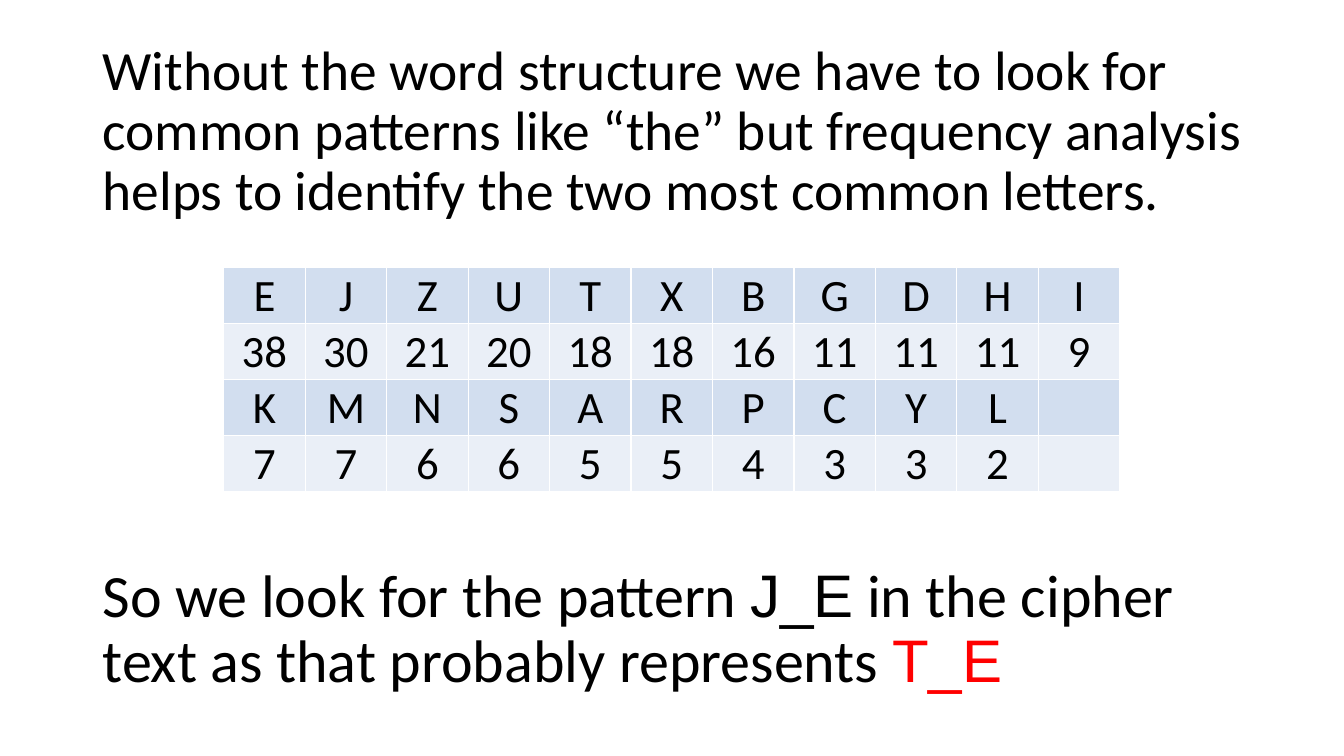
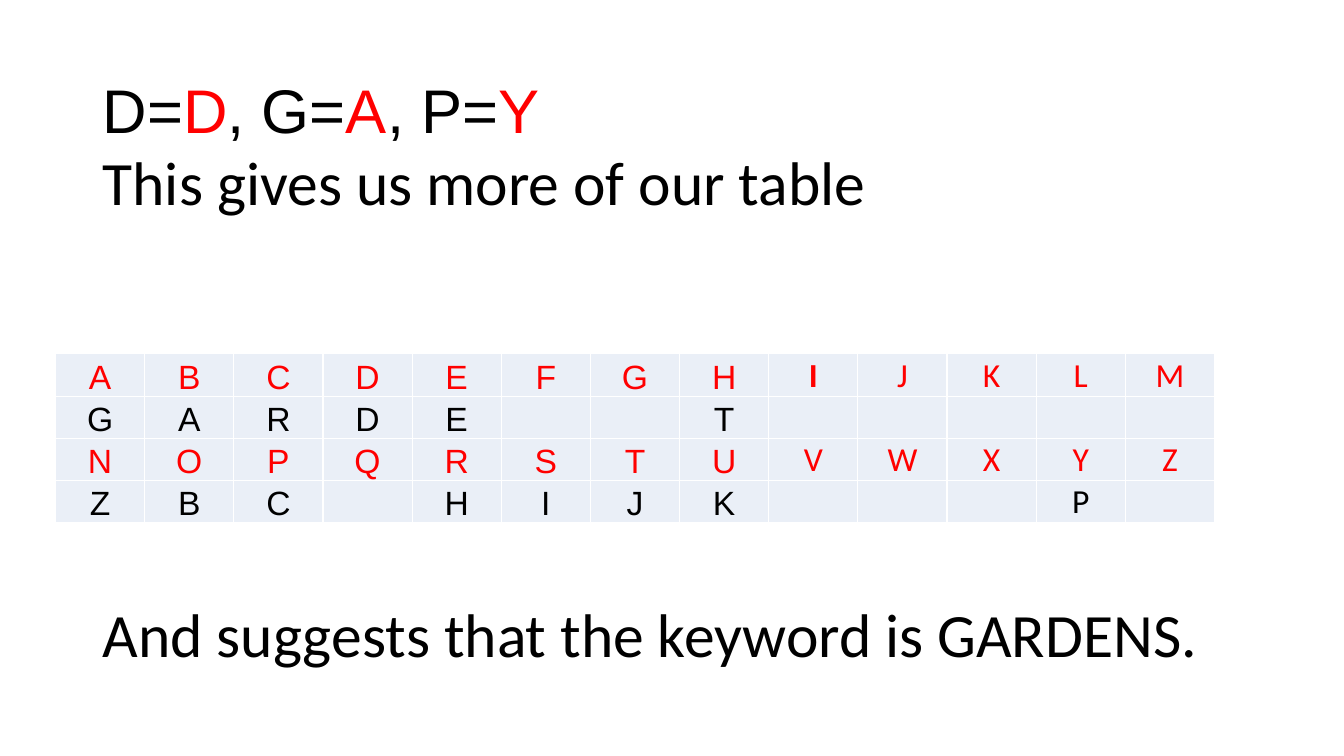
from itertools import cycle

from lxml.etree import SubElement
from pptx import Presentation
from pptx.dml.color import RGBColor
from pptx.enum.text import MSO_ANCHOR, PP_ALIGN
from pptx.oxml import parse_xml
from pptx.oxml.ns import nsdecls, qn
from pptx.util import Inches, Pt

COLORS = {
    "cipher": "000000",
    "plain": "FF0000",
    "band_dark": "D2DEEF",
    "band_light": "EAEFF7",
    "border": "FFFFFF",
}
BODY, LETTERS = "Calibri", "Arial"
TEXT_LEFT, TEXT_WIDTH = 6.9, 86.25


class Deck:
    def __init__(self):
        self.presentation = Presentation()
        self.presentation.slide_width = Inches(13.33)
        self.presentation.slide_height = Inches(7.5)
        self.slide = None

    def add_slide(self):
        self.slide = self.presentation.slides.add_slide(self.presentation.slide_layouts[6])

    def across(self, percent):
        return int(self.presentation.slide_width * percent / 100)

    def down(self, percent):
        return int(self.presentation.slide_height * percent / 100)

    def style(self, run, size, font=BODY, color="cipher", bold=False):
        run.font.size = Pt(size)
        run.font.name = font
        run.font.bold = bold
        run.font.color.rgb = RGBColor.from_string(COLORS[color])

    def text(self, top, height, size, *pieces):
        shape = self.slide.shapes.add_textbox(
            self.across(TEXT_LEFT), self.down(top), self.across(TEXT_WIDTH), self.down(height)
        )
        text_frame = shape.text_frame
        text_frame.word_wrap = True
        text_frame.vertical_anchor = MSO_ANCHOR.MIDDLE
        paragraph = text_frame.paragraphs[0]
        paragraph.line_spacing = 0.9
        for content, *look in pieces:
            run = paragraph.add_run()
            run.text = content
            self.style(run, size, *look)

    def border(self, cell):
        properties = cell._tc.get_or_add_tcPr()
        for index, side in enumerate(("lnL", "lnR", "lnT", "lnB")):
            line = parse_xml(f'<a:{side} {nsdecls("a")} w="{Pt(1)}"/>')
            fill = SubElement(line, qn("a:solidFill"))
            SubElement(fill, qn("a:srgbClr"), val=COLORS["border"])
            properties.insert(index, line)

    def table(self, left, top, width, row_height, size, rows, bands, look):
        columns = len(rows[0])
        table = self.slide.shapes.add_table(
            len(rows), columns, self.across(left), self.down(top),
            self.across(width), self.down(row_height * len(rows)),
        ).table
        table.first_row = table.horz_banding = False
        for column in table.columns:
            column.width = self.across(width / columns)
        for row_index, (values, band) in enumerate(zip(rows, cycle(bands))):
            table.rows[row_index].height = self.down(row_height)
            for column_index, value in enumerate(values):
                cell = table.cell(row_index, column_index)
                cell.fill.solid()
                cell.fill.fore_color.rgb = RGBColor.from_string(COLORS[band])
                self.border(cell)
                cell.margin_left = cell.margin_right = cell.margin_top = Inches(0.01)
                cell.margin_bottom = 0
                cell.vertical_anchor = MSO_ANCHOR.BOTTOM
                if value.strip():
                    cell.text_frame.text = value
                    paragraph = cell.text_frame.paragraphs[0]
                    paragraph.alignment = PP_ALIGN.CENTER
                    self.style(paragraph.runs[0], size, *look(row_index, column_index))


def frequency_look(row, column):
    return BODY, "cipher"


def alphabet_look(row, column):
    font = LETTERS if column < 8 else BODY
    color = "cipher" if row % 2 else "plain"
    return font, color, (row, column) == (0, 8)


def frequency_slide(deck):
    deck.add_slide()
    deck.text(5.33, 24.4, 39.6, (
        "Without the word structure we have to look for common patterns like “the” "
        "but frequency analysis helps to identify the two most common letters.",
    ))
    rows = [
        "E J Z U T X B G D H I".split(),
        "38 30 21 20 18 18 16 11 11 11 9".split(),
        "K M N S A R P C Y L".split() + [""],
        "7 7 6 6 5 5 4 3 3 2".split() + [""],
    ]
    deck.table(16.65, 35.33, 66.67, 7.42, 32, rows, ("band_dark", "band_light"), frequency_look)
    deck.text(
        71.2, 24.4, 42.9,
        ("So we look for the pattern ",),
        ("J_E", LETTERS),
        (" in the cipher text as that probably represents ",),
        ("T_E", LETTERS, "plain"),
    )


def keyword_slide(deck):
    deck.add_slide()
    deck.text(
        5.33, 19.33, 44,
        ("D=", LETTERS), ("D", LETTERS, "plain"),
        (", G=", LETTERS), ("A", LETTERS, "plain"),
        (", P=", LETTERS), ("Y", LETTERS, "plain"),
    )
    deck.text(14.93, 19.33, 44, ("This gives us more of our table",))
    rows = ["ABCDEFGHIJKLM", "GARDE  T     ", "NOPQRSTUVWXYZ", "ZBC HIJK   P "]
    deck.table(4.13, 46.8, 86.25, 5.6, 24, rows, ("band_light",), alphabet_look)
    deck.text(74.67, 19.33, 44, ("And suggests that the keyword is GARDENS.",))


def main():
    deck = Deck()
    frequency_slide(deck)
    keyword_slide(deck)
    deck.presentation.save("out.pptx")


if __name__ == "__main__":
    main()
